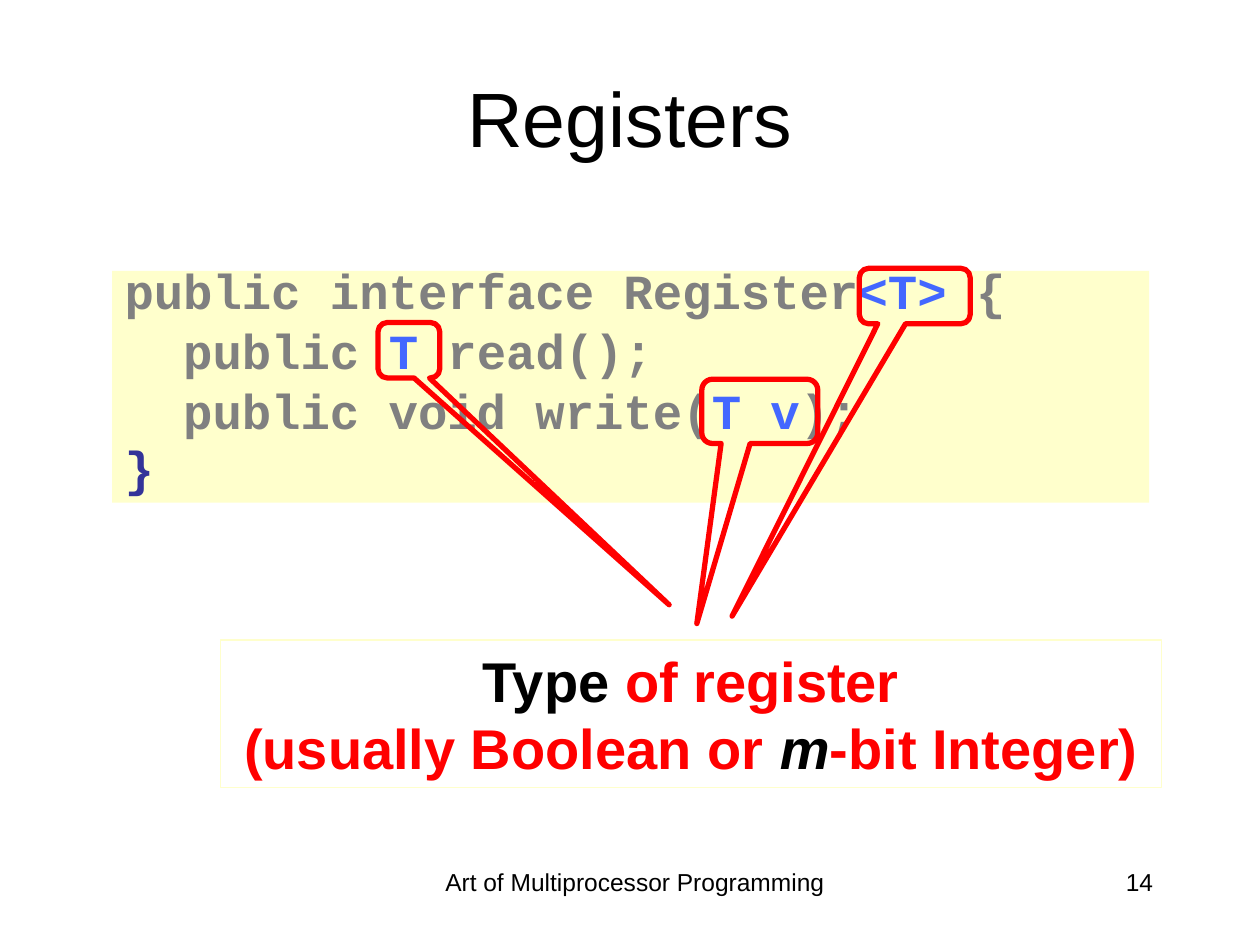
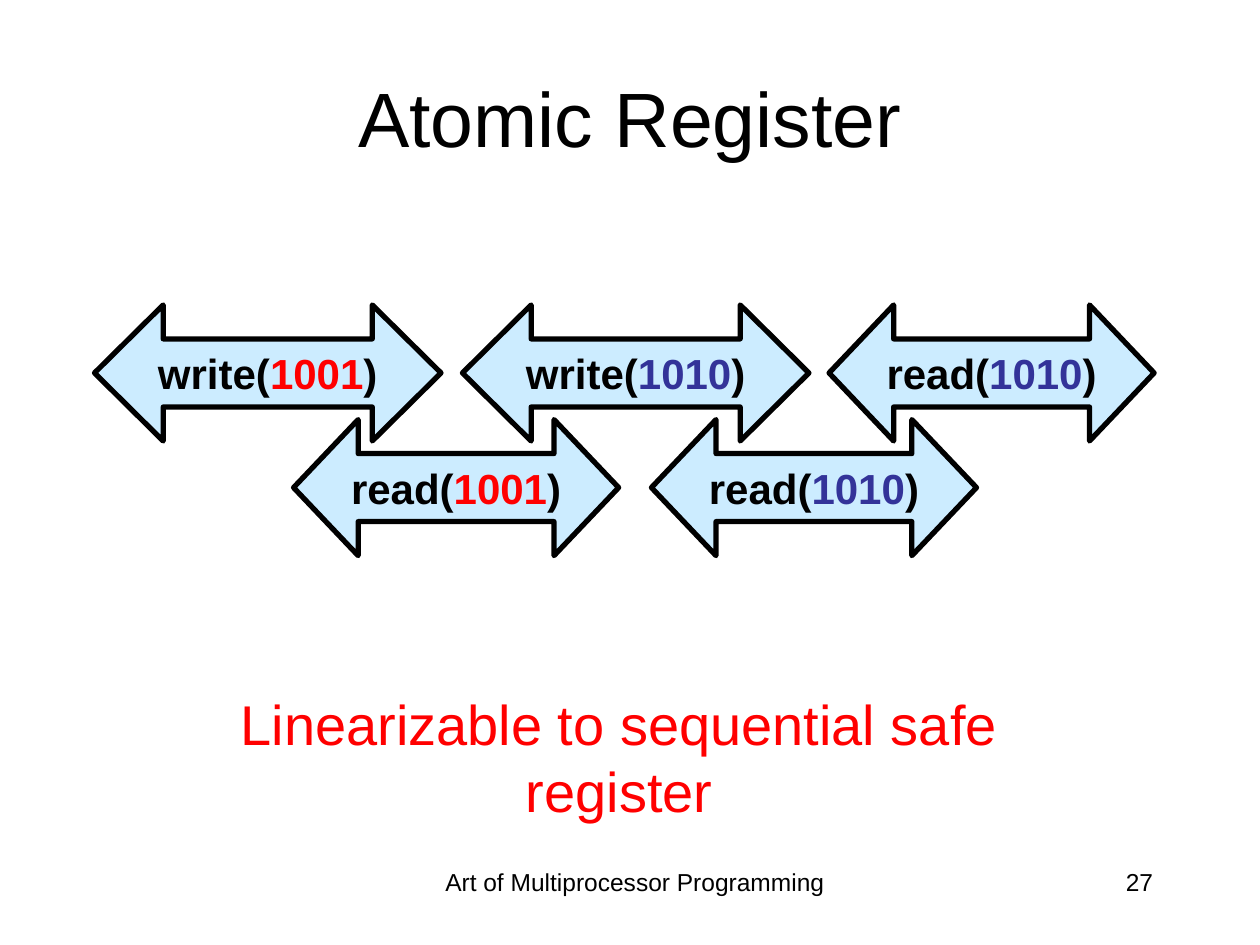
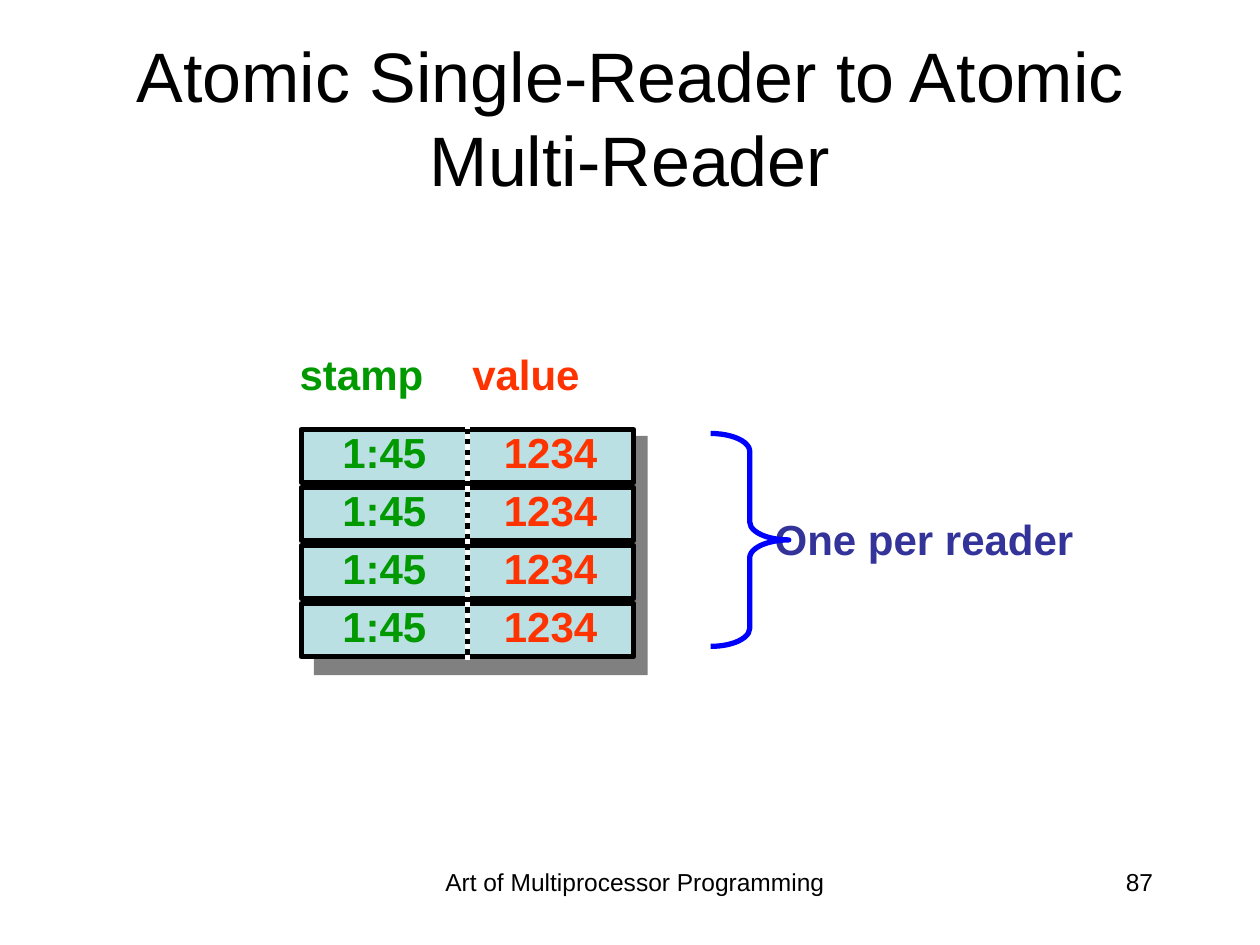
import pptx
import pptx.util
import pptx.dml.color
import pptx.enum.dml
import pptx.enum.shapes
import pptx.enum.text
import pptx.oxml.ns
from lxml import etree

Inches, Pt = pptx.util.Inches, pptx.util.Pt
RGBColor = pptx.dml.color.RGBColor
SHAPE = pptx.enum.shapes.MSO_SHAPE
ALIGN = pptx.enum.text.PP_ALIGN
ANCHOR = pptx.enum.text.MSO_ANCHOR

# Shared style
BLACK = RGBColor(0x00, 0x00, 0x00)
WHITE = RGBColor(0xFF, 0xFF, 0xFF)
GREY = RGBColor(0x80, 0x80, 0x80)
RED = RGBColor(0xFF, 0x00, 0x00)
BLUE = RGBColor(0x00, 0x00, 0xFF)
NAVY = RGBColor(0x33, 0x33, 0x99)
TYPE_BLUE = RGBColor(0x43, 0x67, 0xFF)
CREAM = RGBColor(0xFF, 0xFF, 0xCC)
ARROW_BLUE = RGBColor(0xCC, 0xEC, 0xFF)
CELL_TEAL = RGBColor(0xBB, 0xE0, 0xE3)
GREEN = RGBColor(0x00, 0x99, 0x00)
ORANGE = RGBColor(0xFF, 0x33, 0x00)
SANS, MONO = "Arial", "Courier New"
FOOTER = "Art of Multiprocessor Programming"

# Slide 1: lines of (text, colour) runs
CODE = [
    [("public interface Register", GREY), ("<T> ", TYPE_BLUE), ("{", GREY)],
    [("  public ", GREY), ("T ", TYPE_BLUE), ("read();", GREY)],
    [("  public void write(", GREY), ("T v", TYPE_BLUE), (");", GREY)],
    [("}", NAVY)],
]
TYPE_NOTE = [
    [("Type", BLACK), (" of register", RED)],
    [("(usually Boolean or ", RED), ("m", BLACK, True), ("-bit Integer)", RED)],
]
# Callout box and the point its tail reaches
CALLOUTS = [
    ((6.82, 2.13, 0.88, 0.44), (5.81, 4.89)),
    ((3.0, 2.56, 0.49, 0.44), (5.31, 4.8)),
    ((5.57, 3.01, 0.92, 0.51), (5.53, 4.95)),
]

# Slide 2: call, value, value colour, left, row
CALLS = [
    ("write", "1001", RED, 0.75, 0),
    ("read", "1001", RED, 2.33, 1),
    ("write", "1010", NAVY, 3.67, 0),
    ("read", "1010", NAVY, 5.17, 1),
    ("read", "1010", NAVY, 6.58, 0),
]
ARROW_WIDTH = {"write": 2.75, "read": 2.58}
ARROW_HEAD = {"write": 0.505, "read": 0.475}
ARROW_TOP, ARROW_PITCH, ARROW_HEIGHT = 2.42, 0.91, 1.08

# Slide 3: columns of (heading, heading left, value, colour)
COLUMNS = [("stamp", 2.28, "1:45", GREEN), ("value", 3.65, "1234", ORANGE)]
ROWS = 4
GRID_LEFT, GRID_TOP, CELL_W, CELL_H, ROW_PITCH = 2.39, 3.41, 1.32, 0.42, 0.46


def write(tf, lines, size, align=ALIGN.LEFT, bold=False, name=SANS, spacing=None):
    """Fill a text frame with lines of (text, colour[, italic]) runs."""
    for i, runs in enumerate(lines):
        p = tf.paragraphs[0] if i == 0 else tf.add_paragraph()
        p.alignment = align
        if spacing:
            p.line_spacing = spacing
        p.font.size, p.font.name, p.font.bold = Pt(size), name, bold
        if len(runs) == 1:
            p.font.color.rgb = runs[0][1]
        for text, color, *italic in runs:
            r = p.add_run()
            r.text = text
            if len(runs) > 1:
                r.font.color.rgb = color
            if italic:
                r.font.italic = True


def add_text(slide, box, lines, size, **style):
    sp = slide.shapes.add_textbox(*map(Inches, box))
    sp.text_frame.word_wrap = True
    write(sp.text_frame, lines, size, **style)


def add_shape(slide, kind, box, fill=None, line=None, width=3, adjust=()):
    sp = slide.shapes.add_shape(kind, *map(Inches, box))
    sp.shadow.inherit = False
    if fill is None:
        sp.fill.background()
    else:
        sp.fill.solid()
        sp.fill.fore_color.rgb = fill
    if line is None:
        sp.line.fill.background()
    else:
        sp.line.color.rgb = line
        sp.line.width = Pt(width)
    for i, value in enumerate(adjust):
        sp.adjustments[i] = value
    return sp


def add_slide(prs, title, number, size=44):
    """Start a slide with its title, footer and number."""
    slide = prs.slides.add_slide(prs.slide_layouts[5])
    sp = slide.shapes.title
    sp.left, sp.top, sp.width, sp.height = map(Inches, (0.5, 0.3, 9, 1.25))
    tf = sp.text_frame
    tf.auto_size = pptx.enum.text.MSO_AUTO_SIZE.NONE
    tf.vertical_anchor = ANCHOR.MIDDLE
    write(tf, [[(title, BLACK)]], size, align=ALIGN.CENTER)
    add_text(slide, (3.33, 6.83, 3.42, 0.52), [[(FOOTER, BLACK)]], 14, align=ALIGN.CENTER)
    add_text(slide, (7.17, 6.83, 2.08, 0.5), [[(str(number), BLACK)]], 14, align=ALIGN.RIGHT)
    return slide


def build_registers(prs):
    slide = add_slide(prs, "Registers", 14)
    # Code panel
    tf = add_shape(slide, SHAPE.RECTANGLE, (0.89, 2.15, 8.23, 1.84), CREAM).text_frame
    tf.vertical_anchor = ANCHOR.TOP
    write(tf, CODE, 28, bold=True, name=MONO, spacing=0.7)
    for p in tf.paragraphs[1:-1]:
        p.space_before = Pt(10.5)
    tf.paragraphs[-1].line_spacing = 1.0
    # Note and the callouts pointing at it
    note = add_shape(slide, SHAPE.RECTANGLE, (1.75, 5.08, 7.47, 1.17), line=CREAM, width=0.75)
    note.text_frame.vertical_anchor = ANCHOR.TOP
    write(note.text_frame, TYPE_NOTE, 32, align=ALIGN.CENTER, bold=True)
    for box, (tip_x, tip_y) in CALLOUTS:
        x, y, w, h = box
        tail = ((tip_x - x) / w - 0.5, (tip_y - y) / h - 0.5)
        add_shape(slide, SHAPE.ROUNDED_RECTANGULAR_CALLOUT, box, line=RED, adjust=tail)


def build_atomic_register(prs):
    slide = add_slide(prs, "Atomic Register", 27)
    # Overlapping calls on two rows
    for call, value, color, left, row in CALLS:
        box = (left, ARROW_TOP + row * ARROW_PITCH, ARROW_WIDTH[call], ARROW_HEIGHT)
        sp = add_shape(slide, SHAPE.LEFT_RIGHT_ARROW, box, ARROW_BLUE, BLACK,
                       adjust=(0.5, ARROW_HEAD[call]))
        tf = sp.text_frame
        tf.word_wrap = False
        tf.vertical_anchor = ANCHOR.MIDDLE
        write(tf, [[(call + "(", BLACK), (value, color), (")", BLACK)]], 24,
              align=ALIGN.CENTER, bold=True)
    add_text(slide, (1.25, 5.42, 7.33, 1.17),
             [[("Linearizable to sequential safe register", RED)]], 32, align=ALIGN.CENTER)


def build_multi_reader(prs):
    slide = add_slide(prs, "Atomic Single-Reader to Atomic Multi-Reader", 87, size=40)
    label = dict(bold=True, spacing=0.8)
    # Register grid on its grey backing
    add_shape(slide, SHAPE.RECTANGLE, (2.49, 3.46, 2.65, 1.9), GREY)
    for col, (heading, left, value, color) in enumerate(COLUMNS):
        add_text(slide, (left, 2.79, 1.6, CELL_H), [[(heading, color)]], 24, **label)
        for row in range(ROWS):
            box = (GRID_LEFT + col * CELL_W, GRID_TOP + row * ROW_PITCH, CELL_W, CELL_H)
            tf = add_shape(slide, SHAPE.RECTANGLE, box, CELL_TEAL, BLACK).text_frame
            tf.vertical_anchor = ANCHOR.MIDDLE
            write(tf, [[(value, color)]], 24, align=ALIGN.CENTER, **label)
    # Dotted divider between the columns
    x = Inches(GRID_LEFT + CELL_W)
    divider = slide.shapes.add_connector(pptx.enum.shapes.MSO_CONNECTOR.STRAIGHT,
                                         x, Inches(3.36), x, Inches(5.24))
    divider.line.color.rgb = WHITE
    divider.line.width = Pt(3)
    divider.line.dash_style = pptx.enum.dml.MSO_LINE.ROUND_DOT
    etree.SubElement(divider._element.spPr, pptx.oxml.ns.qn("a:effectLst"))
    # Brace and its label
    add_text(slide, (6.05, 4.1, 3.08, CELL_H), [[("One per reader", NAVY)]], 24, **label)
    add_shape(slide, SHAPE.RIGHT_BRACE, (5.64, 3.44, 0.62, 1.69), line=BLUE, adjust=(0.23, 0.5))


def main():
    prs = pptx.Presentation()
    prs.slide_width, prs.slide_height = Inches(10), Inches(7.5)
    build_registers(prs)
    build_atomic_register(prs)
    build_multi_reader(prs)
    prs.save("out.pptx")


if __name__ == "__main__":
    main()
